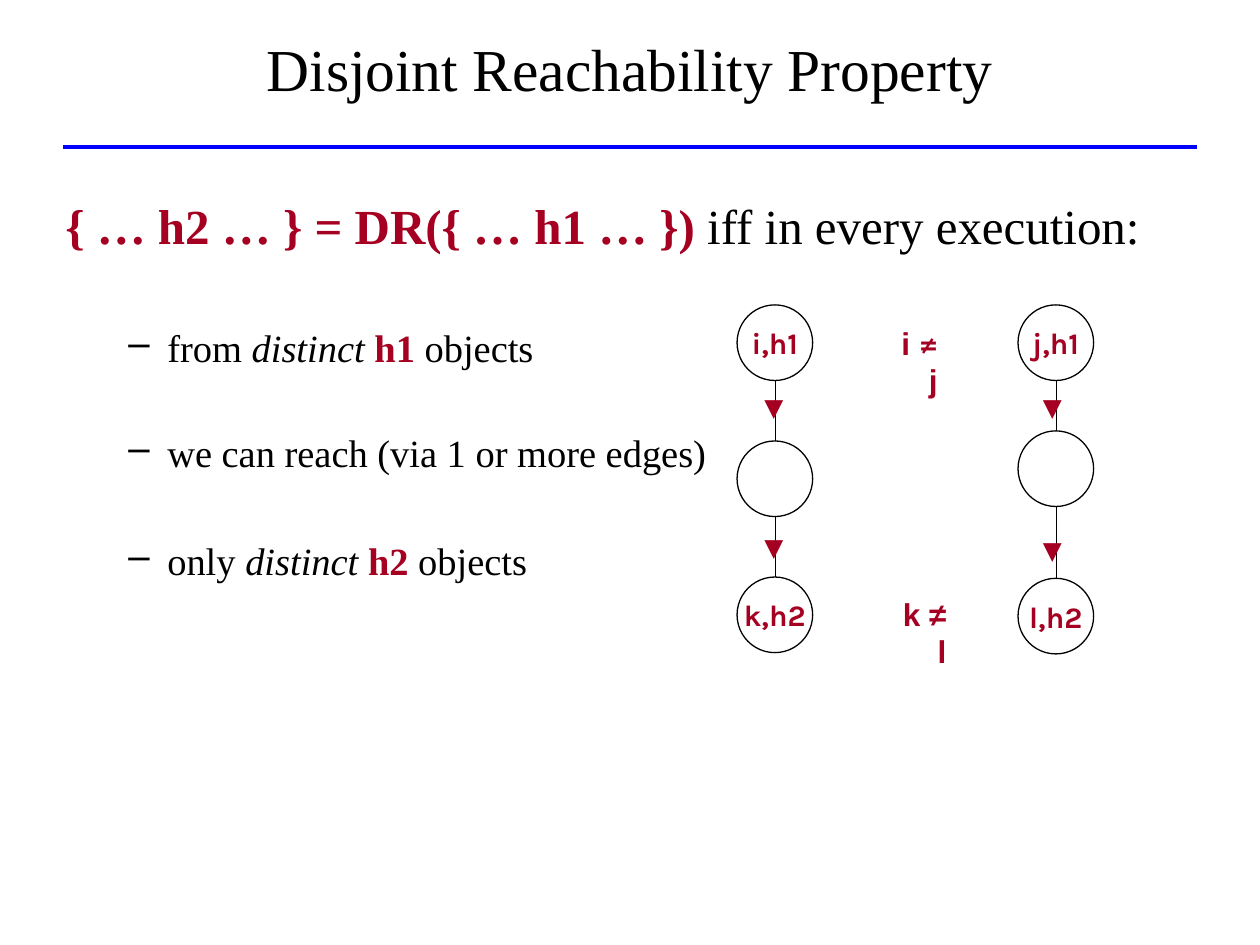
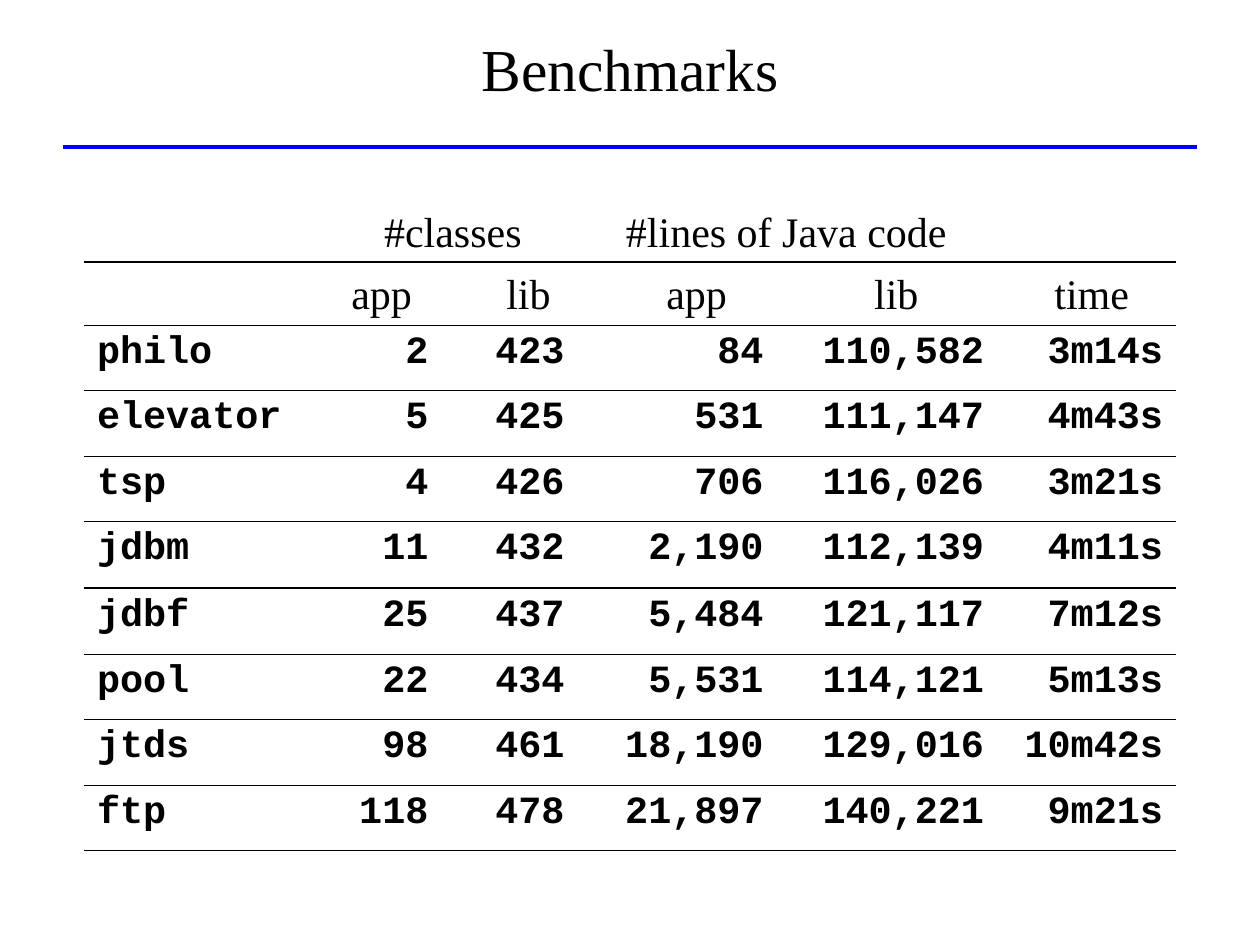
from dataclasses import dataclass

from lxml.etree import SubElement
from pptx import Presentation
from pptx.dml.color import RGBColor
from pptx.enum.shapes import MSO_CONNECTOR, MSO_SHAPE
from pptx.enum.text import MSO_ANCHOR, PP_ALIGN
from pptx.oxml.ns import qn
from pptx.util import Emu, Inches, Pt


@dataclass(frozen=True)
class Theme:
    ink: RGBColor = RGBColor(0, 0, 0)
    accent: RGBColor = RGBColor(0xA5, 0x00, 0x21)
    rule: RGBColor = RGBColor(0, 0, 0xFF)
    serif: str = "Times New Roman"
    sans: str = "Arial"
    math: str = "Cambria"
    node: str = "Karla"
    mono: str = "Courier New"
    title_size: int = 34
    lead_size: int = 28
    head_size: int = 24
    body_size: int = 22
    label_size: int = 18
    node_size: int = 17


T = Theme()
TITLE = dict(name=T.serif, size=T.title_size)
LEAD = dict(name=T.serif, size=T.lead_size)
BODY = dict(name=T.serif, size=T.body_size)
HEAD = dict(name=T.serif, size=T.head_size)
CELL = dict(name=T.mono, size=T.body_size, bold=True)
NODE = dict(name=T.node, size=T.node_size, bold=True, color=T.accent)
LABEL = dict(name=T.sans, size=T.label_size, bold=True, color=T.accent)
ARROW = dict(name=T.sans, size=T.label_size, color=T.accent)
KEY = dict(bold=True, color=T.accent)


# Shared helpers
def add_run(p, text, fmt):
    r = p.add_run()
    r.text = text
    values = {"color": T.ink, **fmt}
    r.font.color.rgb = values.pop("color")
    values["size"] = Pt(values["size"])
    for key, value in values.items():
        setattr(r.font, key, value)


def add_text(s, box, runs, align=PP_ALIGN.LEFT, anchor=MSO_ANCHOR.TOP, wrap=True):
    sp = s.shapes.add_textbox(*map(Inches, box))
    tf = sp.text_frame
    tf.word_wrap, tf.vertical_anchor = wrap, anchor
    p = tf.paragraphs[0]
    p.alignment = align
    for text, fmt in runs:
        add_run(p, text, fmt)
    return sp


def add_line(s, x1, y1, x2, y2, color, width):
    ln = s.shapes.add_connector(MSO_CONNECTOR.STRAIGHT, *map(Inches, (x1, y1, x2, y2)))
    ln.line.color.rgb, ln.line.width = color, Pt(width)
    SubElement(ln._element.spPr, qn("a:effectLst"))


def add_tabs(p, stops):
    tabs = SubElement(p._p.get_or_add_pPr(), qn("a:tabLst"))
    for stop in stops:
        SubElement(tabs, qn("a:tab"), pos=str(Inches(stop)), algn="l")


def titled_slide(prs, title):
    s = prs.slides.add_slide(prs.slide_layouts[6])
    add_line(s, 0.5, 1.17, 9.5, 1.17, T.rule, 2.25)
    add_text(s, (0, 0.08, 10, 0.92), [(title, TITLE)], PP_ALIGN.CENTER, MSO_ANCHOR.MIDDLE)
    return s


# Definition: lead sentence and dashed conditions
def definition(s, box):
    lead = [("{ … h2 … } = DR({ … h1 … }) ", {**LEAD, **KEY}),
            ("iff in every execution:", LEAD)]
    tf = add_text(s, box, lead).text_frame
    italic, key = {**BODY, "italic": True}, {**BODY, **KEY}
    conditions = [
        (40, [("from ", BODY), ("distinct ", italic), ("h1", key), (" objects", BODY)]),
        (33.6, [("we can reach (via 1 or more edges)", BODY)]),
        (35.4, [("only ", BODY), ("distinct ", italic), ("h2 ", key), ("objects", BODY)]),
    ]
    for gap, runs in conditions:
        p = tf.add_paragraph()
        p.space_before = Pt(gap)
        pPr = p._p.get_or_add_pPr()
        pPr.set("marL", str(Inches(0.81)))
        pPr.set("indent", str(-Inches(0.31)))
        SubElement(pPr, qn("a:buChar"), char="–")
        for text, fmt in runs:
            add_run(p, text, fmt)


# One chain of heap objects, joined from top to bottom
def object_chain(s, x, nodes, arrow_x, arrow_tops, size=0.6):
    for top, text in nodes:
        sp = s.shapes.add_shape(MSO_SHAPE.OVAL, *map(Inches, (x, top, size, size)))
        sp.shadow.inherit = False
        sp.fill.background()
        sp.line.color.rgb, sp.line.width = T.ink, Pt(0.75)
        if text:
            tf = sp.text_frame
            tf.word_wrap, tf.vertical_anchor = False, MSO_ANCHOR.MIDDLE
            p = tf.paragraphs[0]
            p.alignment = PP_ALIGN.CENTER
            add_run(p, text, NODE)
    mid = x + size / 2
    for (top, _), (below, _) in zip(nodes, nodes[1:]):
        add_line(s, mid, top + size, mid, below, T.ink, 0.25)
    for top in arrow_tops:
        sp = add_text(s, (arrow_x, top, 0.44, 0.4), [("►", ARROW)],
                      PP_ALIGN.RIGHT, wrap=False)
        sp.rotation = 90


# Two chains side by side with the inequalities between them
def reachability_diagram(s, x, y):
    object_chain(s, x, [(y, "i,h1"), (y + 1.08, ""), (y + 2.16, "k,h2")],
                 x + 0.1, (y + 0.63, y + 1.74))
    object_chain(s, x + 2.23, [(y, "j,h1"), (y + 1, ""), (y + 2.17, "l,h2")],
                 x + 2.31, (y + 0.63, y + 1.77))
    add_text(s, (x + 1.09, y + 0.1, 0.6, 0.4),
             [("i ", LABEL), ("≠", {**LABEL, "name": T.math}), (" j", LABEL)],
             PP_ALIGN.RIGHT)
    add_text(s, (x + 1.08, y + 2.25, 0.68, 0.4), [("k ≠ l", LABEL)],
             PP_ALIGN.RIGHT, wrap=False)


# Column headings, set on tab stops
def benchmark_headings(s, box):
    left, top, width, _ = box
    rows = [("\t#classes\t#lines of Java code", (2.34, 4.26)),
            ("\tapp\tlib\tapp\tlib\ttime", (2.08, 3.31, 4.58, 6.23, 7.66))]
    tf = add_text(s, box, []).text_frame
    for i, (text, stops) in enumerate(rows):
        p = tf.add_paragraph() if i else tf.paragraphs[0]
        add_tabs(p, stops)
        p.space_before = Pt(7)
        add_run(p, text, HEAD)
    add_line(s, left + 0.06, top + 0.5, left + width - 0.03, top + 0.5, T.ink, 1.25)


def set_borders(cell):
    tcPr = cell._tc.get_or_add_tcPr()
    for side in ("L", "R", "T", "B"):
        ruled = side in "TB"
        ln = SubElement(tcPr, qn(f"a:ln{side}"), w=str(Pt(0.45) if ruled else 0))
        if ruled:
            fill = SubElement(ln, qn("a:solidFill"))
            SubElement(fill, qn("a:srgbClr"), val=str(T.ink))
        else:
            SubElement(ln, qn("a:noFill"))


# Benchmark figures, ruled between rows only
def benchmark_table(s, x, y, rows):
    widths, height = (1.75, 1.08, 1.08, 1.58, 1.75, 1.42), 0.52
    box = map(Inches, (x, y, sum(widths), height * len(rows)))
    tbl = s.shapes.add_table(len(rows), len(widths), *box).table
    tbl.first_row = tbl.horz_banding = False
    for col, width in zip(tbl.columns, widths):
        col.width = Inches(width)
    for row, values in zip(tbl.rows, rows):
        row.height = Emu(Inches(height))
        for i, (cell, text) in enumerate(zip(row.cells, values)):
            set_borders(cell)
            cell.fill.background()
            p = cell.text_frame.paragraphs[0]
            p.alignment = PP_ALIGN.RIGHT if i else PP_ALIGN.LEFT
            p.space_before = Pt(5.5)
            add_run(p, text, CELL)


BENCHMARKS = [
    ("philo", "2", "423", "84", "110,582", "3m14s"),
    ("elevator", "5", "425", "531", "111,147", "4m43s"),
    ("tsp", "4", "426", "706", "116,026", "3m21s"),
    ("jdbm", "11", "432", "2,190", "112,139", "4m11s"),
    ("jdbf", "25", "437", "5,484", "121,117", "7m12s"),
    ("pool", "22", "434", "5,531", "114,121", "5m13s"),
    ("jtds", "98", "461", "18,190", "129,016", "10m42s"),
    ("ftp", "118", "478", "21,897", "140,221", "9m21s"),
]


def main():
    prs = Presentation()
    prs.slide_width, prs.slide_height = Inches(10), Inches(7.5)

    s = titled_slide(prs, "Disjoint Reachability Property")
    definition(s, (0.42, 1.5, 9, 5.75))
    reachability_diagram(s, 5.85, 2.42)

    s = titled_slide(prs, "Benchmarks")
    benchmark_headings(s, (0.61, 1.58, 8.75, 1))
    benchmark_table(s, 0.67, 2.58, BENCHMARKS[:4])
    benchmark_table(s, 0.67, 4.67, BENCHMARKS[4:])

    prs.save("out.pptx")


if __name__ == "__main__":
    main()
